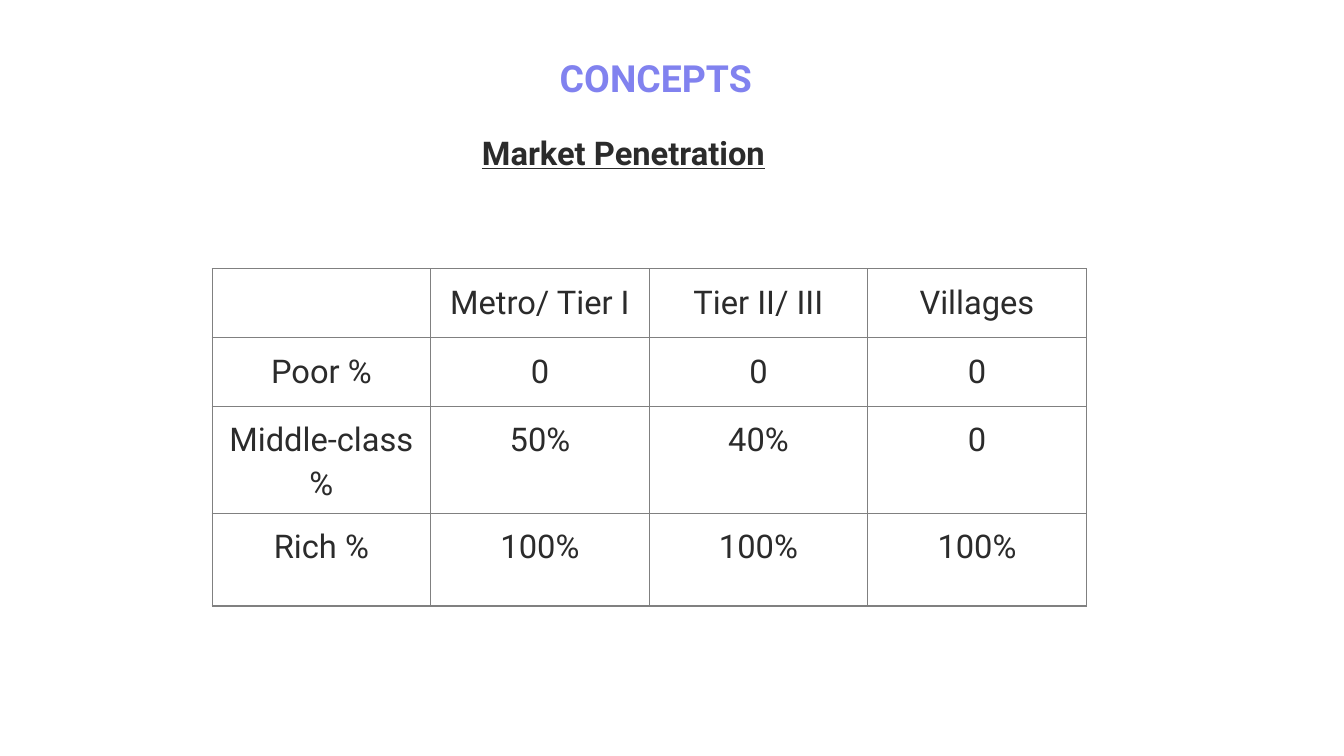
from lxml import etree
from pptx import Presentation
from pptx.enum import text
from pptx.oxml import ns
from pptx.util import Cm, Pt

HUES = {"title": "8182EF", "ink": "2B2B2B", "rule": "808080", "page": "FFFFFF"}
ROWS = [
    ["", "Metro/ Tier I", "Tier II/ III", "Villages"],
    ["Poor %", "0", "0", "0"],
    ["Middle-class %", "50%", "40%", "0"],
    ["Rich %", "100%", "100%", "100%"],
]
TALL = [1.3, 1.3, 1.3, 1.75]
WIDE = 4.13


class Deck:
    face = "Roboto"
    size = 17.5
    pad = Cm(0.25)
    inset = Cm(0.18)

    def __init__(self):
        self.file = Presentation()
        self.file.slide_width, self.file.slide_height = Cm(25.4), Cm(14.29)
        self.slide = self.file.slides.add_slide(self.file.slide_layouts[5])
        fill = self.slide.background.fill
        fill.solid()
        self.paint(fill.fore_color, "page")

    def paint(self, color, hue):
        color.rgb = color_of(hue)

    def style(self, para, hue="ink", size=size, bold=False, line=None):
        font = para.font
        font.name, font.size, font.bold = self.face, Pt(size), bold
        self.paint_font(font, hue)
        if line:
            para.line_spacing = line

    def paint_font(self, font, hue):
        self.paint(font.color, hue)

    def frame(self, shape, box, words, anchor):
        """Place a shape, fill in its words and return its paragraph."""
        shape.left, shape.top, shape.width, shape.height = map(Cm, box)
        body = shape.text_frame
        body.word_wrap = True
        body.auto_size = text.MSO_AUTO_SIZE.NONE
        body.vertical_anchor = anchor
        body.margin_left = body.margin_right = self.pad
        body.margin_top = body.margin_bottom = self.pad
        body.text = words
        return body.paragraphs[0]

    def title(self, box, words):
        para = self.frame(self.slide.shapes.title, box, words, text.MSO_ANCHOR.TOP)
        para.alignment = text.PP_ALIGN.CENTER
        self.style(para, "title", 20, True)

    def heading(self, box, words):
        shape = self.slide.shapes.add_textbox(*map(Cm, box))
        para = self.frame(shape, box, words, text.MSO_ANCHOR.MIDDLE)
        para.space_after = Pt(12)
        self.style(para, bold=True, line=1.5)
        para.font.underline = True

    def border(self, cell):
        props = cell._tc.get_or_add_tcPr()
        for spot, side in enumerate(("lnL", "lnR", "lnT", "lnB")):
            line = etree.Element(ns.qn(f"a:{side}"), w=str(Pt(0.75)))
            fill = etree.SubElement(line, ns.qn("a:solidFill"))
            etree.SubElement(fill, ns.qn("a:srgbClr"), val=HUES["rule"])
            props.insert(spot, line)

    def table(self, left, top, rows, wide, tall):
        count = len(rows[0])
        grid = self.slide.shapes.add_table(
            len(rows), count, Cm(left), Cm(top), Cm(wide * count), Cm(sum(tall))
        ).table
        grid.first_row = grid.horz_banding = False
        for col in grid.columns:
            col.width = Cm(wide)
        for row, high, words in zip(grid.rows, tall, rows):
            row.height = Cm(high)
            for cell, word in zip(row.cells, words):
                self.cell(cell, word)

    def cell(self, cell, word):
        cell.text = word
        cell.margin_left = cell.margin_right = self.inset
        cell.margin_top = cell.margin_bottom = self.inset
        cell.fill.background()
        self.border(cell)
        para = cell.text_frame.paragraphs[0]
        para.alignment = text.PP_ALIGN.CENTER
        self.style(para, line=1.15)


def color_of(hue):
    from pptx.dml.color import RGBColor
    return RGBColor.from_string(HUES[hue])


def main():
    deck = Deck()
    deck.title((8.1, 0.79, 8.59, 1.37), "CONCEPTS")
    deck.heading((8.86, 2.06, 7.67, 1.27), "Market Penetration")
    deck.table(4.01, 5.08, ROWS, WIDE, TALL)
    deck.file.save("out.pptx")


if __name__ == "__main__":
    main()
